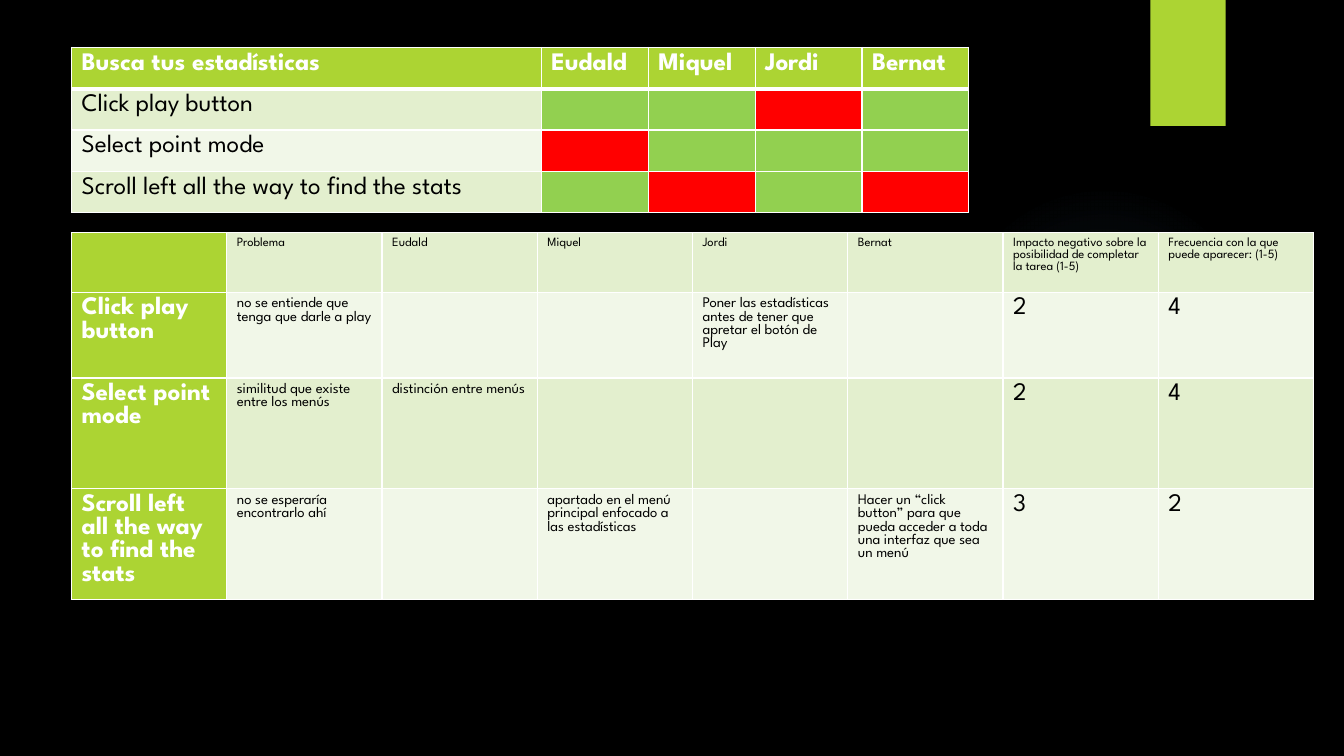
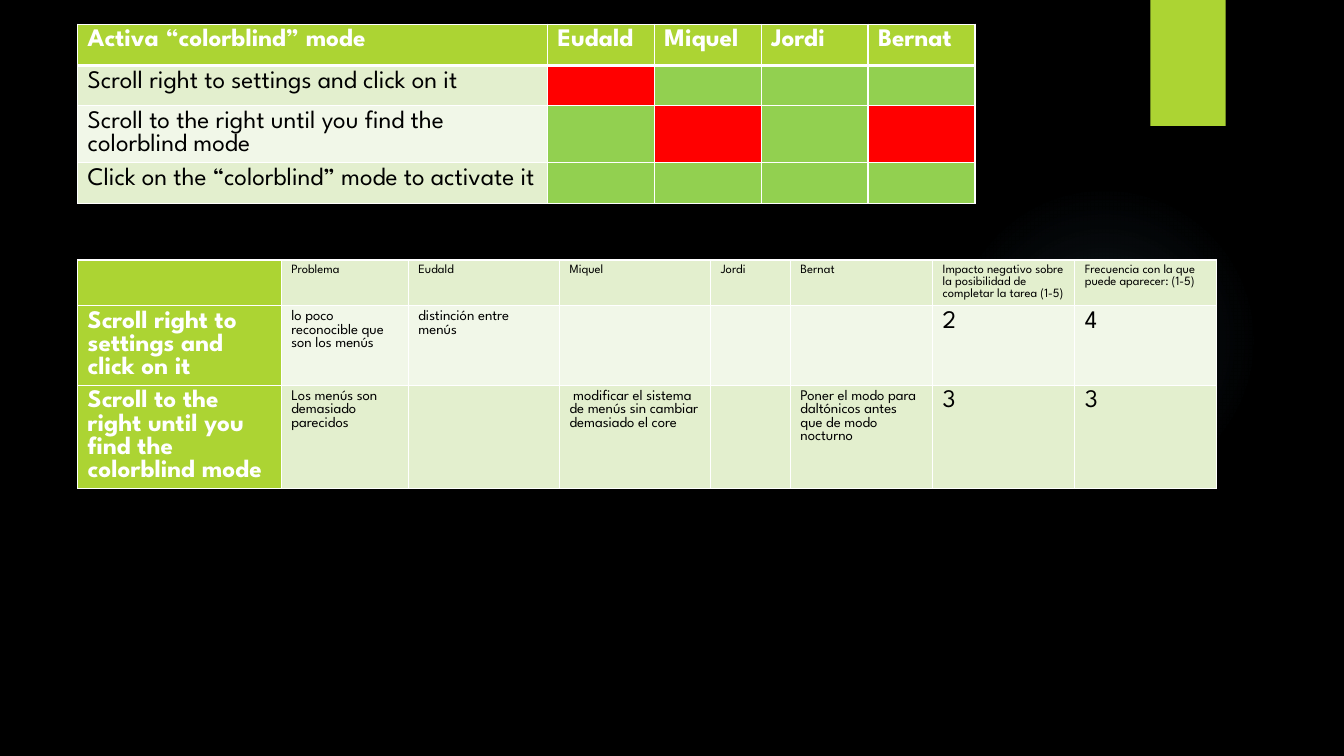
from dataclasses import dataclass, field

from pptx import Presentation
from pptx.dml.color import RGBColor
from pptx.enum.shapes import MSO_SHAPE
from pptx.oxml import parse_xml
from pptx.oxml.ns import nsdecls
from pptx.shapes.autoshape import Shape
from pptx.slide import Slide
from pptx.table import _Cell
from pptx.util import Inches, Pt

SLIDE_WIDTH, SLIDE_HEIGHT = Inches(13.33), Inches(7.5)
FONT = "League Spartan"
BLACK, WHITE = "000000", "FFFFFF"
LIME, GLOW = "ACD433", "7AC4F0"
BANDS = ("E3EFCE", "F1F7E8")
MARK_FILLS = {"+": "92D050", "-": "FF0000"}
TESTERS = ("Eudald", "Miquel", "Jordi", "Bernat")
IMPACT = "Impacto negativo sobre la posibilidad de completar la tarea (1-5)"
FREQUENCY = "Frecuencia con la que puede aparecer: (1-5)"
THIN, THICK = 1, 3


@dataclass
class CellContent:
    fill: str
    text: str = ""
    size: float = 18
    colour: str = BLACK
    bold: bool = False


@dataclass
class Grid:
    left: float
    top: float
    columns: list[float]
    rows: list[float]


@dataclass
class Step:
    """One task step; marks holds + or - for each tester in turn."""

    name: str
    marks: str


@dataclass
class Problem:
    step: str
    description: str
    impact: int
    frequency: int
    suggestions: dict[str, str] = field(default_factory=dict)


@dataclass
class TaskReport:
    title: str
    score_grid: Grid
    steps: list[Step]
    problem_grid: Grid
    problems: list[Problem]


SCORE_COLUMNS = [4.66] + [1.06] * len(TESTERS)

REPORTS = [
    TaskReport(
        "Busca tus estadísticas",
        Grid(0.71, 0.47, SCORE_COLUMNS, [0.41] * 4),
        [
            Step("Click play button", "++-+"),
            Step("Select point mode", "-+++"),
            Step("Scroll left all the way to find the stats", "+-+-"),
        ],
        Grid(0.71, 2.31, [1.54] * 8, [0.59, 0.85, 1.1, 1.1]),
        [
            Problem(
                "Click play button", "no se entiende que tenga que darle a play", 2, 4,
                {"Jordi": "Poner las estadísticas antes de tener que apretar el botón de Play"},
            ),
            Problem(
                "Select point mode", "similitud que existe entre los menús", 2, 4,
                {"Eudald": "distinción entre menús"},
            ),
            Problem(
                "Scroll left all the way to find the stats", "no se esperaría encontrarlo ahí", 3, 2,
                {
                    "Miquel": "apartado en el menú principal enfocado a las estadísticas",
                    "Bernat": "Hacer un “click button” para que pueda acceder a toda una "
                              "interfaz que sea un menú",
                },
            ),
        ],
    ),
    TaskReport(
        "Activa “colorblind” mode",
        Grid(0.77, 0.24, SCORE_COLUMNS, [0.41, 0.4, 0.56, 0.41]),
        [
            Step("Scroll right to settings and click on it", "-+++"),
            Step("Scroll to the right until you find the colorblind mode", "+-+-"),
            Step("Click on the “colorblind” mode to activate it", "++++"),
        ],
        Grid(0.77, 2.58, [2.02, 1.26, 1.5, 1.5, 0.79, 1.41, 1.41, 1.41], [0.45, 0.79, 1.02]),
        [
            Problem(
                "Scroll right to settings and click on it",
                "lo poco reconocible que son los menús", 2, 4,
                {"Eudald": "distinción entre menús"},
            ),
            Problem(
                "Scroll to the right until you find the colorblind mode",
                "Los menús son demasiado parecidos", 3, 3,
                {
                    "Miquel": " modificar el sistema de menús sin cambiar demasiado el core",
                    "Bernat": "Poner el modo para daltónicos antes que de modo nocturno",
                },
            ),
        ],
    ),
]


def rgb(colour: str) -> RGBColor:
    return RGBColor.from_string(colour)


def heading(text: str = "") -> CellContent:
    return CellContent(LIME, text, colour=WHITE, bold=True)


def set_borders(cell: _Cell, top: float, bottom: float) -> None:
    properties = cell._tc.get_or_add_tcPr()
    widths = {"lnL": THIN, "lnR": THIN, "lnT": top, "lnB": bottom}
    for position, (side, width) in enumerate(widths.items()):
        properties.insert(position, parse_xml(
            f'<a:{side} {nsdecls("a")} w="{Pt(width)}"><a:solidFill>'
            f'<a:srgbClr val="{WHITE}"/></a:solidFill></a:{side}>'
        ))


def fill_cell(cell: _Cell, content: CellContent) -> None:
    cell.fill.solid()
    cell.fill.fore_color.rgb = rgb(content.fill)
    paragraph = cell.text_frame.paragraphs[0]
    font = paragraph.font
    font.name, font.size, font.bold = FONT, Pt(content.size), content.bold
    font.color.rgb = rgb(content.colour)
    if content.text:
        paragraph.add_run().text = content.text


def draw_table(slide: Slide, grid: Grid, contents: list[list[CellContent]],
               header_rule: float = THIN) -> None:
    """Draw a bordered table; header_rule is the line width under its first row."""
    table = slide.shapes.add_table(
        len(grid.rows), len(grid.columns), Inches(grid.left), Inches(grid.top),
        Inches(sum(grid.columns)), Inches(sum(grid.rows)),
    ).table
    table.first_row = table.horz_banding = False
    for column, width in zip(table.columns, grid.columns):
        column.width = Inches(width)
    for row, height in zip(table.rows, grid.rows):
        row.height = Inches(height)
    for row_index, row_contents in enumerate(contents):
        top = header_rule if row_index == 1 else THIN
        bottom = header_rule if row_index == 0 else THIN
        for column_index, content in enumerate(row_contents):
            cell = table.cell(row_index, column_index)
            fill_cell(cell, content)
            set_borders(cell, top, bottom)


def draw_scores(slide: Slide, report: TaskReport) -> None:
    contents = [[heading(text) for text in (report.title, *TESTERS)]]
    for index, step in enumerate(report.steps):
        marks = [CellContent(MARK_FILLS[mark]) for mark in step.marks]
        contents.append([CellContent(BANDS[index % 2], step.name), *marks])
    draw_table(slide, report.score_grid, contents, THICK)


def draw_problems(slide: Slide, report: TaskReport) -> None:
    labels = ("Problema", *TESTERS, IMPACT, FREQUENCY)
    contents = [[heading(), *(CellContent(BANDS[0], label, 9) for label in labels)]]
    for index, problem in enumerate(report.problems, start=1):
        band = BANDS[index % 2]
        remarks = [problem.description, *(problem.suggestions.get(name, "") for name in TESTERS)]
        ratings = (problem.impact, problem.frequency)
        contents.append([
            heading(problem.step),
            *(CellContent(band, remark, 10.5) for remark in remarks),
            *(CellContent(band, str(rating)) for rating in ratings),
        ])
    draw_table(slide, report.problem_grid, contents)


def add_ornament(slide: Slide, kind: MSO_SHAPE, left: float, top: float,
                 width: float, height: float) -> Shape:
    """Add a shape without line or shadow, placed by shares of the slide's size."""
    shape = slide.shapes.add_shape(
        kind, round(left * SLIDE_WIDTH), round(top * SLIDE_HEIGHT),
        round(width * SLIDE_WIDTH), round(height * SLIDE_HEIGHT),
    )
    shape.line.fill.background()
    shape.shadow.inherit = False
    return shape


def draw_backdrop(slide: Slide) -> None:
    glow = add_ornament(slide, MSO_SHAPE.OVAL, 0.706, 0.244, 0.231, 0.411)
    stops = "".join(
        f'<a:gs pos="{position * 1000}"><a:srgbClr val="{GLOW}">'
        f'<a:alpha val="{opacity * 1000}"/></a:srgbClr></a:gs>'
        for position, opacity in ((0, 7), (36, 6), (69, 0), (100, 0))
    )
    glow._element.spPr.insert(2, parse_xml(
        f'<a:gradFill {nsdecls("a")}><a:gsLst>{stops}</a:gsLst><a:path path="circle">'
        '<a:fillToRect l="50000" t="50000" r="50000" b="50000"/></a:path></a:gradFill>'
    ))
    tab = add_ornament(slide, MSO_SHAPE.RECTANGLE, 0.856, 0, 0.056, 1 / 6)
    tab.fill.solid()
    tab.fill.fore_color.rgb = rgb(LIME)


def main() -> None:
    presentation = Presentation()
    presentation.slide_width, presentation.slide_height = SLIDE_WIDTH, SLIDE_HEIGHT
    background = presentation.slide_master.background.fill
    background.solid()
    background.fore_color.rgb = rgb(BLACK)
    blank_layout = presentation.slide_layouts[6]
    for report in REPORTS:
        slide = presentation.slides.add_slide(blank_layout)
        draw_backdrop(slide)
        draw_scores(slide, report)
        draw_problems(slide, report)
    presentation.save("out.pptx")


if __name__ == "__main__":
    main()
